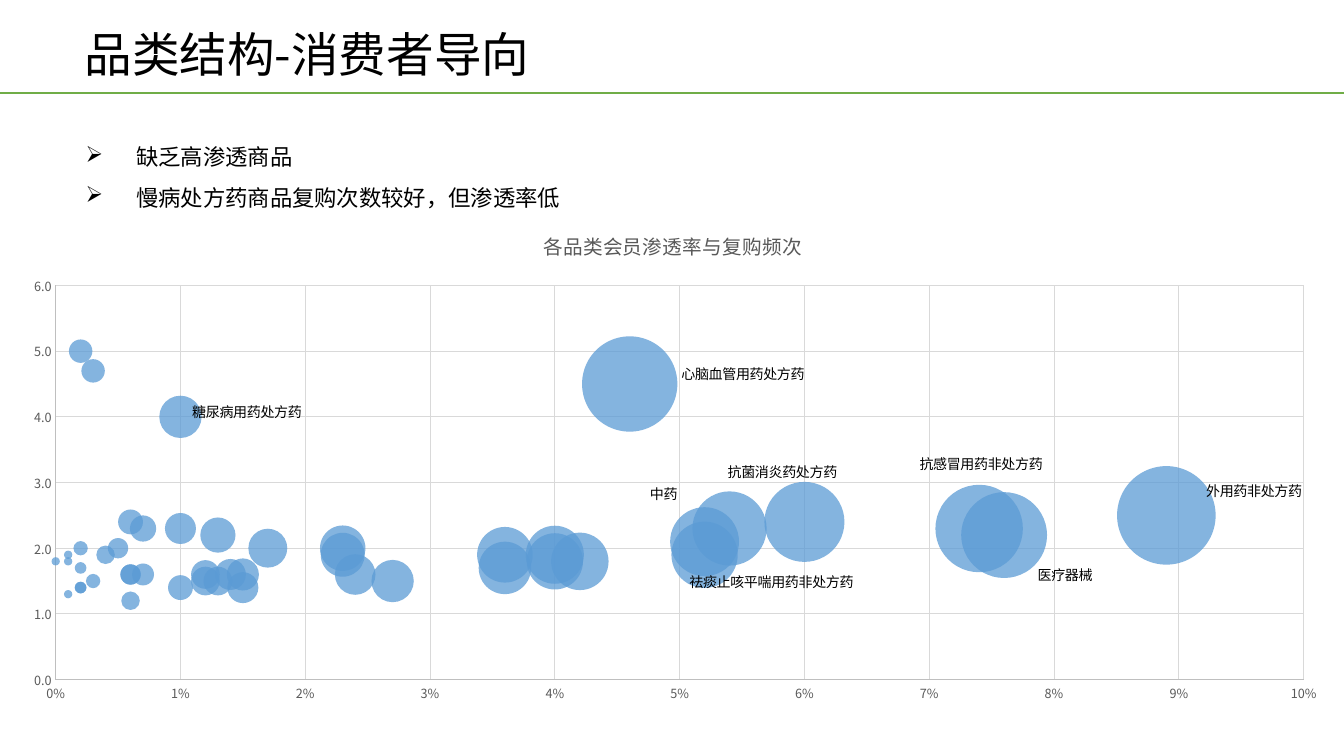
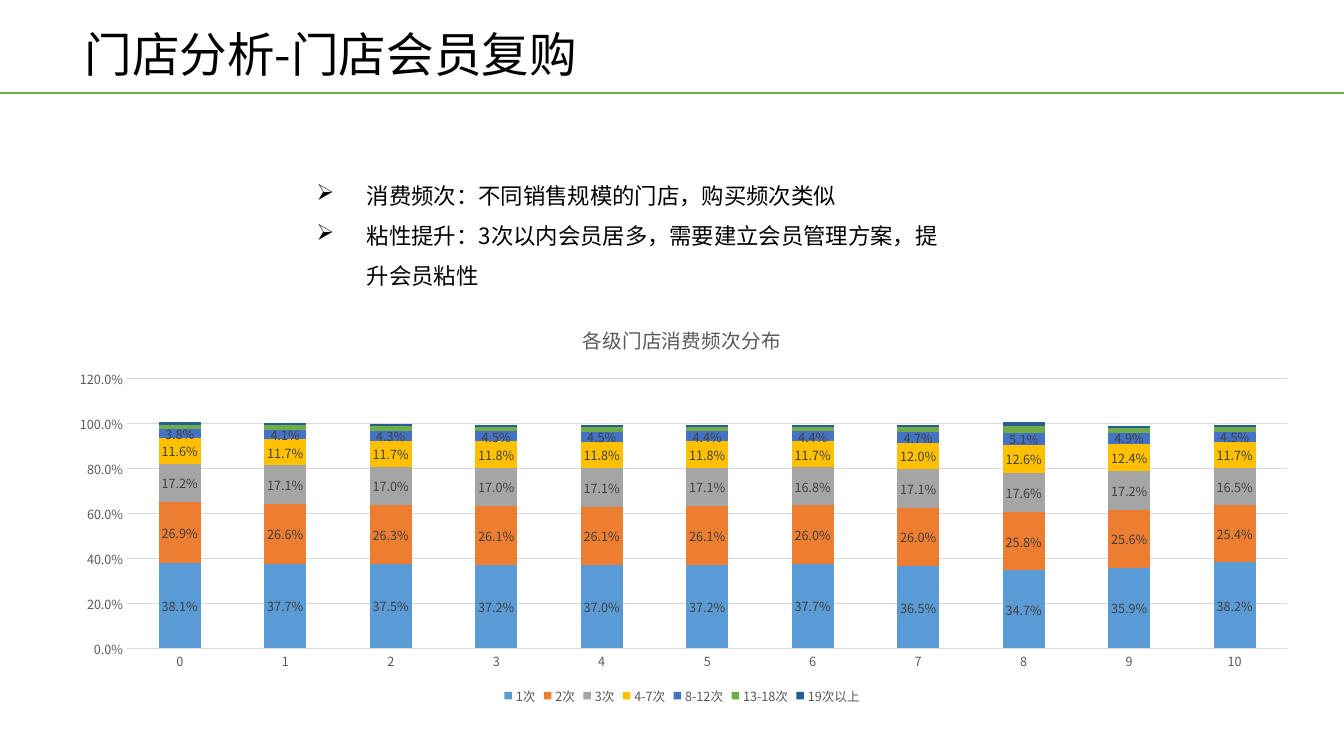
import dataclasses
import typing

import lxml.etree
import pptx
import pptx.chart.axis
import pptx.chart.chart
import pptx.chart.data
import pptx.dml.color
import pptx.dml.line
import pptx.enum.chart
import pptx.enum.shapes
import pptx.enum.text
import pptx.oxml.ns
import pptx.presentation
import pptx.slide
import pptx.text.text
import pptx.util

Inches = pptx.util.Inches
Pt = pptx.util.Pt
qn = pptx.oxml.ns.qn

FACE = "Noto Sans CJK SC"
BLACK, GREY, GREEN = "000000", "595959", "70AD47"
BLUE, GRID, EDGE, DARK = "5B9BD5", "D9D9D9", "BFBFBF", "404040"


@dataclasses.dataclass
class Box:
    left: float
    top: float
    width: float
    height: float

    def place(self) -> tuple[int, ...]:
        return tuple(Inches(v) for v in dataclasses.astuple(self))


class Bubble(typing.NamedTuple):
    rate: int
    times: float
    size: int


class Label(typing.NamedTuple):
    point: int
    text: str
    x: float
    y: float


class Band(typing.NamedTuple):
    name: str
    color: str
    shares: list[float]
    shown: bool = True


BUBBLES = [Bubble(*row) for row in [
    (12, 1.5, 12), (54, 2.3, 80), (15, 1.4, 14), (40, 1.8, 46), (42, 1.8, 48),
    (14, 1.6, 14), (6, 1.2, 5), (0, 1.1, 0), (6, 2.4, 9), (0, 1.5, 0),
    (76, 2.2, 107), (36, 1.7, 40), (89, 2.5, 141), (6, 1.6, 6), (15, 1.6, 15),
    (46, 4.5, 132), (0, 1.8, 1), (6, 1.6, 6), (74, 2.3, 111), (2, 1.7, 2),
    (10, 1.4, 9), (60, 2.4, 93), (0, 1.2, 0), (24, 1.6, 24), (7, 1.6, 7),
    (3, 1.5, 3), (10, 2.3, 14), (1, 1.3, 1), (3, 4.7, 8), (0, 1.2, 0),
    (27, 1.5, 26), (12, 1.6, 12), (52, 1.9, 64), (2, 2, 3), (0, 2.5, 0),
    (1, 1.8, 1), (2, 1.4, 2), (13, 2.2, 18), (52, 2.1, 69), (2, 5, 8),
    (0, 2.2, 0), (10, 4, 26), (0, 2.1, 0), (4, 1.9, 5), (36, 1.9, 45),
    (7, 2.3, 10), (1, 1.9, 1), (23, 2, 30), (40, 1.9, 49), (0, 1.3, 0),
    (2, 1.4, 2), (5, 2, 6), (23, 1.9, 28), (17, 2, 22), (13, 1.5, 12),
]]

LABELS = [
    Label(1, "中药", -0.09, -0.07),
    Label(10, "医疗器械", -0.01, 0.08),
    Label(12, "外用药非处方药", -0.01, -0.05),
    Label(15, "心脑血管用药处方药", 0, -0.02),
    Label(18, "抗感冒用药非处方药", -0.08, -0.13),
    Label(21, "抗菌消炎药处方药", -0.09, -0.1),
    Label(38, "祛痰止咳平喘用药非处方药", -0.04, 0.08),
    Label(41, "糖尿病用药处方药", -0.01, -0.01),
]

BANDS = [
    Band("1次", BLUE, [38.1, 37.7, 37.5, 37.2, 37.0, 37.2, 37.7, 36.5, 34.7, 35.9, 38.2]),
    Band("2次", "ED7D31", [26.9, 26.6, 26.3, 26.1, 26.1, 26.1, 26.0, 26.0, 25.8, 25.6, 25.4]),
    Band("3次", "A5A5A5", [17.2, 17.1, 17.0, 17.0, 17.1, 17.1, 16.8, 17.1, 17.6, 17.2, 16.5]),
    Band("4-7次", "FFC000", [11.6, 11.7, 11.7, 11.8, 11.8, 11.8, 11.7, 12.0, 12.6, 12.4, 11.7]),
    Band("8-12次", "4472C4", [3.8, 4.1, 4.3, 4.5, 4.5, 4.4, 4.4, 4.7, 5.1, 4.9, 4.5]),
    Band("13-18次", GREEN, [2, 2, 2, 2, 2, 2, 2, 2, 3, 2, 2], False),
    Band("19次以上", "255E91", [1, 1, 1, 1, 1, 1, 1, 1, 2, 1, 1], False),
]


def tint(code: str) -> pptx.dml.color.RGBColor:
    return pptx.dml.color.RGBColor.from_string(code)


def style(font: pptx.text.text.Font, size: float, color: str) -> None:
    font.size = Pt(size)
    font.name = FACE
    font.color.rgb = tint(color)


def stroke(line: pptx.dml.line.LineFormat, color: str, width: float) -> None:
    line.color.rgb = tint(color)
    line.width = Pt(width)


def set_east(root: lxml.etree.ElementBase) -> None:
    for latin in list(root.iter(qn("a:latin"))):
        east = lxml.etree.Element(qn("a:ea"), typeface=FACE)
        latin.addnext(east)


def add_rule(slide: pptx.slide.Slide) -> None:
    y = Inches(0.92)
    rule = slide.shapes.add_connector(
        pptx.enum.shapes.MSO_CONNECTOR.STRAIGHT, 0, y, Inches(13.33), y)
    stroke(rule.line, GREEN, 1.5)
    lxml.etree.SubElement(rule.element.spPr, qn("a:effectLst"))
    slide.slide_layout.shapes.element.append(rule.element)


def add_slide(deck: pptx.presentation.Presentation, text: str) -> pptx.slide.Slide:
    slide = deck.slides.add_slide(deck.slide_layouts[5])
    title = slide.shapes.title
    title.left, title.top, title.width, title.height = Box(0.74, 0.26, 7.98, 0.62).place()
    frame = title.text_frame
    frame.text = text
    frame.auto_size = pptx.enum.text.MSO_AUTO_SIZE.SHAPE_TO_FIT_TEXT
    frame.vertical_anchor = pptx.enum.text.MSO_ANCHOR.MIDDLE
    para = frame.paragraphs[0]
    para.alignment = pptx.enum.text.PP_ALIGN.LEFT
    para.line_spacing = 0.9
    style(para.runs[0].font, 34, BLACK)
    set_east(title.element)
    return slide


def add_points(slide: pptx.slide.Slide, box: Box, lines: list[str]) -> None:
    shape = slide.shapes.add_textbox(*box.place())
    frame = shape.text_frame
    frame.word_wrap = True
    frame.auto_size = pptx.enum.text.MSO_AUTO_SIZE.SHAPE_TO_FIT_TEXT
    frame.margin_left = frame.margin_right = Inches(0.13)
    frame.margin_top = frame.margin_bottom = Inches(0.07)
    frame.text = "\n".join(lines)
    for node in shape.element.iter(qn("a:p")):
        props = node.get_or_add_pPr()
        props.set("marL", str(Inches(0.5)))
        props.set("indent", str(-Inches(0.5)))
        lxml.etree.SubElement(props, qn("a:buChar"), char="➢")
    for para in frame.paragraphs:
        para.line_spacing = 1.5
        for run in para.runs:
            style(run.font, 16, BLACK)
    set_east(shape.element)


def make_layout(**parts: typing.Any) -> lxml.etree.ElementBase:
    layout = lxml.etree.Element(qn("c:layout"))
    manual = lxml.etree.SubElement(layout, qn("c:manualLayout"))
    for name, value in parts.items():
        lxml.etree.SubElement(manual, qn(f"c:{name}"), val=str(value))
    return layout


def add_chart(slide: pptx.slide.Slide, kind: pptx.enum.chart.XL_CHART_TYPE, box: Box,
              data: typing.Any, title: str, plot: Box) -> pptx.chart.chart.Chart:
    chart = slide.shapes.add_chart(kind, *box.place(), data).chart
    style(chart.font, 10, BLACK)
    chart.has_title = True
    frame = chart.chart_title.text_frame
    frame.text = title
    font = frame.paragraphs[0].runs[0].font
    style(font, 14, GREY)
    font.bold = False
    chart.has_legend = False
    for flag in chart.element.iter(qn("c:varyColors")):
        flag.set("val", "0")
    area = next(chart.element.iter(qn("c:plotArea")))
    for old in area.findall(qn("c:layout")):
        area.remove(old)
    area.insert(0, make_layout(
        layoutTarget="inner", xMode="edge", yMode="edge",
        x=plot.left, y=plot.top, w=plot.width, h=plot.height))
    return chart


def set_axis(axis: typing.Any, line: str | None, grid: bool) -> None:
    style(axis.tick_labels.font, 9, GREY)
    axis.major_tick_mark = axis.minor_tick_mark = pptx.enum.chart.XL_TICK_MARK.NONE
    axis.has_major_gridlines = grid
    if grid:
        stroke(axis.major_gridlines.format.line, GRID, 0.75)
    if line:
        stroke(axis.format.line, line, 0.75)
    else:
        axis.format.line.fill.background()


def set_scale(axis: pptx.chart.axis.ValueAxis, top: float, step: float, code: str) -> None:
    axis.minimum_scale, axis.maximum_scale, axis.major_unit = 0, top, step
    axis.tick_labels.number_format = code
    axis.tick_labels.number_format_is_linked = False


def draw_bubbles(slide: pptx.slide.Slide) -> None:
    data = pptx.chart.data.BubbleChartData()
    rows = data.add_series("Series 1")
    for item in BUBBLES:
        rows.add_data_point(item.rate / 1000, item.times, item.size * 100000)
    chart = add_chart(slide, pptx.enum.chart.XL_CHART_TYPE.BUBBLE,
                      Box(0.02, 2.09, 13.31, 4.95), data,
                      "各品类会员渗透率与复购频次", Box(0.04, 0.15, 0.93, 0.79))
    for axis, top, step, code in [(chart.category_axis, 0.1, 0.01, "0%"),
                                  (chart.value_axis, 6, 1, "0.0")]:
        set_axis(axis, EDGE, True)
        set_scale(axis, top, step, code)
    series = chart.plots[0].series[0]
    series.format.fill.solid()
    series.format.fill.fore_color.rgb = tint(BLUE)
    root = next(chart.element.iter(qn("c:ser")))
    color = next(root.iter(qn("a:srgbClr")))
    lxml.etree.SubElement(color, qn("a:alpha"), val="75000")
    for label in LABELS:
        tag = series.points[label.point].data_label
        tag.text_frame.text = label.text
        style(tag.text_frame.paragraphs[0].runs[0].font, 10, BLACK)
        tag.position = pptx.enum.chart.XL_LABEL_POSITION.RIGHT
    for label, node in zip(LABELS, root.iter(qn("c:dLbl"))):
        node.insert(1, make_layout(x=label.x, y=label.y))
    group = root.find(qn("c:dLbls"))
    for name in ("c:showVal", "c:showLeaderLines"):
        for flag in group.findall(qn(name)):
            flag.set("val", "0")
    set_east(chart.element)


def draw_bands(slide: pptx.slide.Slide) -> None:
    data = pptx.chart.data.CategoryChartData(number_format="0.0%")
    data.categories = [str(n) for n in range(11)]
    for band in BANDS:
        data.add_series(band.name, [round(v / 100, 3) for v in band.shares])
    chart = add_chart(slide, pptx.enum.chart.XL_CHART_TYPE.COLUMN_STACKED,
                      Box(0.51, 3.04, 12.51, 3.99), data,
                      "各级门店消费频次分布", Box(0.06, 0.18, 0.92, 0.67))
    set_axis(chart.category_axis, GRID, False)
    set_axis(chart.value_axis, None, True)
    set_scale(chart.value_axis, 1.2, 0.2, "0.0%")
    plot = chart.plots[0]
    plot.overlap, plot.gap_width = 100, 150
    for band, series in zip(BANDS, plot.series):
        series.format.fill.solid()
        series.format.fill.fore_color.rgb = tint(band.color)
        if band.shown:
            tags = series.data_labels
            tags.show_value = True
            tags.position = pptx.enum.chart.XL_LABEL_POSITION.CENTER
            style(tags.font, 9, DARK)
    chart.has_legend = True
    chart.legend.position = pptx.enum.chart.XL_LEGEND_POSITION.BOTTOM
    chart.legend.include_in_layout = False
    style(chart.legend.font, 9, GREY)
    set_east(chart.element)


def main() -> None:
    deck = pptx.Presentation()
    deck.slide_width, deck.slide_height = Inches(13.33), Inches(7.5)
    slide = add_slide(deck, "品类结构-消费者导向")
    add_rule(slide)
    add_points(slide, Box(0.72, 1.22, 11.81, 0.94),
               ["缺乏高渗透商品", "慢病处方药商品复购次数较好，但渗透率低"])
    draw_bubbles(slide)
    slide = add_slide(deck, "门店分析-门店会员复购")
    draw_bands(slide)
    add_points(slide, Box(3.01, 1.6, 6.52, 1.35),
               ["消费频次：不同销售规模的门店，购买频次类似",
                "粘性提升：3次以内会员居多，需要建立会员管理方案，提升会员粘性"])
    deck.save("out.pptx")


if __name__ == "__main__":
    main()
